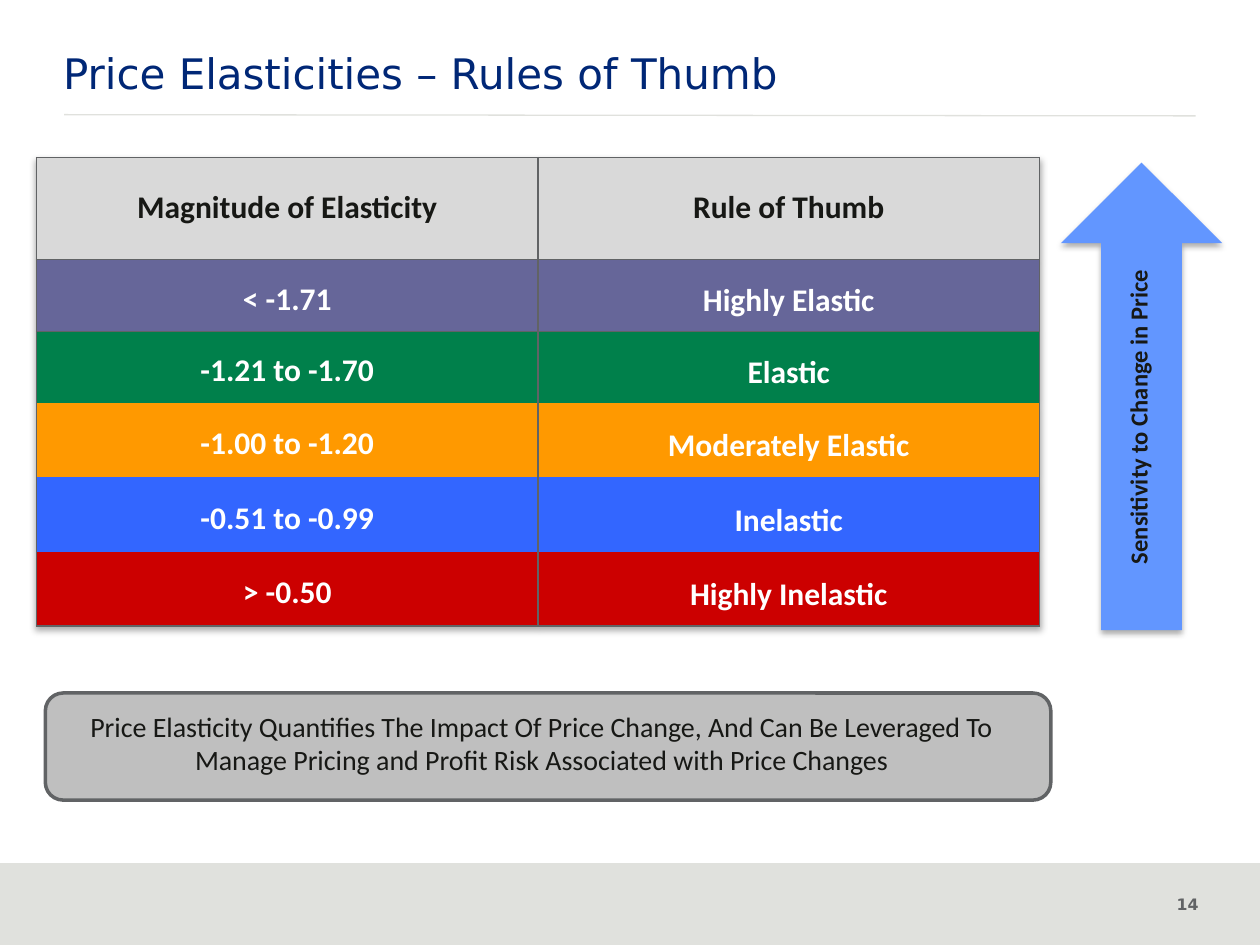
"""Build the price elasticity rules of thumb slide."""
from lxml.etree import SubElement
from pptx import Presentation
from pptx.dml.color import RGBColor
from pptx.enum.shapes import MSO_CONNECTOR, MSO_SHAPE
from pptx.enum.text import MSO_ANCHOR, PP_ALIGN
from pptx.oxml import parse_xml
from pptx.oxml.ns import nsdecls, qn
from pptx.util import Inches, Pt

COLORS = {
    "band": "E0E1DD", "gray": "616365", "navy": "002776", "ink": "171815",
    "white": "FFFFFF", "header": "D9D9D9", "purple": "666699", "green": "00804B",
    "orange": "FF9900", "blue": "3366FF", "red": "CC0000", "arrow": "6296FF",
    "callout": "BFBFBF",
}

RULES = [
    ("Magnitude of Elasticity", "Rule of Thumb", "header", 0.81),
    ("< -1.71", "Highly Elastic", "purple", 0.57),
    ("-1.21 to -1.70", "Elastic", "green", 0.57),
    ("-1.00 to -1.20", "Moderately Elastic", "orange", 0.59),
    ("-0.51 to -0.99", "Inelastic", "blue", 0.59),
    ("> -0.50", "Highly Inelastic", "red", 0.59),
]
RULED_BELOW = {"header", "purple", "red"}
BODY_SPACING = (1.2, 1.3)
TABLE_BOX = (0.29, 1.25, 7.96, 3.71)

SHAPES = [
    (MSO_SHAPE.RECTANGLE, (0, 6.85, 10, 0.65), "band", None, False),
    (MSO_SHAPE.UP_ARROW, (8.42, 1.29, 1.28, 3.71), "arrow", None, True),
    (MSO_SHAPE.ROUNDED_RECTANGLE, (0.36, 5.5, 7.98, 0.85), "callout", "gray", False),
]

TEXTS = [
    ("Price Elasticities – Rules of Thumb", (0.5, 0.38, 8.99, 0.69), 0, 0, PP_ALIGN.LEFT,
     {"size": Pt(24), "name": "DejaVu Sans", "bold": False}, "navy"),
    ("14", (8.99, 7.05, 0.62, 0.4), 0.1, 0, PP_ALIGN.RIGHT,
     {"size": Pt(9), "name": "DejaVu Sans", "bold": True}, "gray"),
    ("Sensitivity to Change in Price", (7.26, 3.14, 3.55, 0.34), 0.1, 270, PP_ALIGN.CENTER,
     {"size": Pt(14), "name": "Calibri", "bold": True}, "ink"),
    ("Price Elasticity Quantifies The Impact Of Price Change, And Can Be Leveraged To "
     "Manage Pricing and Profit Risk Associated with Price Changes",
     (0.52, 5.58, 7.56, 0.64), 0.1, 0, PP_ALIGN.CENTER,
     {"size": Pt(16), "name": "Calibri", "bold": False}, "ink"),
]
CELL_FONT = {"size": Pt(18), "name": "Calibri", "bold": True}


def rgb(name):
    return RGBColor.from_string(COLORS[name])


def inches(lengths):
    return [Inches(length) for length in lengths]


def write(paragraph, text, align, font, color):
    paragraph.alignment = align
    span = paragraph.add_run()
    span.text = text
    for attribute, value in font.items():
        setattr(span.font, attribute, value)
    span.font.color.rgb = rgb(color)


def add_shadow(effects):
    effects.append(parse_xml(
        f'<a:outerShdw {nsdecls("a")} blurRad="{Pt(3.5)}" dist="{Pt(2.2)}" dir="5400000" '
        'rotWithShape="0"><a:srgbClr val="000000"><a:alpha val="32000"/></a:srgbClr>'
        '</a:outerShdw>'))


def add_shape(page, kind, place, fill, line, shadowed):
    shape = page.shapes.add_shape(kind, *inches(place))
    shape.shadow.inherit = False
    shape.fill.solid()
    shape.fill.fore_color.rgb = rgb(fill)
    if line:
        shape.line.color.rgb = rgb(line)
        shape.line.width = Pt(2)
    else:
        shape.line.fill.background()
    if shadowed:
        add_shadow(shape._element.spPr.find(qn("a:effectLst")))


def add_text(page, text, place, inset, rotation, align, font, color):
    box = page.shapes.add_textbox(*inches(place))
    box.rotation = rotation
    frame = box.text_frame
    frame.word_wrap = True
    margins = {"margin_left": inset, "margin_right": inset,
               "margin_top": inset / 2, "margin_bottom": inset / 2}
    for attribute, value in margins.items():
        setattr(frame, attribute, Inches(value))
    write(frame.paragraphs[0], text, align, font, color)


def add_rule(page):
    rule = page.shapes.add_connector(MSO_CONNECTOR.STRAIGHT, *inches((0.51, 0.91, 9.49, 0.92)))
    rule.line.color.rgb = rgb("band")
    rule.line.width = Pt(0.75)
    SubElement(rule._element.spPr, qn("a:effectLst"))


def set_borders(cell, ruled):
    properties = cell._tc.get_or_add_tcPr()
    for position, (side, shown) in enumerate(ruled.items()):
        paint = (f'<a:solidFill><a:srgbClr val="{COLORS["gray"]}"/></a:solidFill>'
                 if shown else "<a:noFill/>")
        properties.insert(position, parse_xml(
            f'<a:{side} {nsdecls("a")} w="{Pt(1)}">{paint}</a:{side}>'))


def add_table(page):
    table = page.shapes.add_table(len(RULES), 2, *inches(TABLE_BOX)).table
    effects = parse_xml(f'<a:effectLst {nsdecls("a")}/>')
    add_shadow(effects)
    table._tbl.tblPr.insert(0, effects)
    for column in table.columns:
        column.width = Inches(TABLE_BOX[2] / 2)
    ruled_above = True
    for row, (magnitude, rule, fill, height) in enumerate(RULES):
        table.rows[row].height = Inches(height)
        ruled_below = fill in RULED_BELOW
        for column, text in enumerate((magnitude, rule)):
            cell = table.cell(row, column)
            cell.vertical_anchor = MSO_ANCHOR.MIDDLE
            cell.fill.solid()
            cell.fill.fore_color.rgb = rgb(fill)
            set_borders(cell, {"lnL": True, "lnR": True, "lnT": ruled_above, "lnB": ruled_below})
            paragraph = cell.text_frame.paragraphs[0]
            write(paragraph, text, PP_ALIGN.CENTER, CELL_FONT, "white" if row else "ink")
            paragraph.line_spacing = BODY_SPACING[column] if row else 0.9
            if row:
                before = SubElement(paragraph._p.get_or_add_pPr(), qn("a:spcBef"))
                SubElement(before, qn("a:spcPct")).set("val", "75000")
        ruled_above = ruled_below


def main():
    deck = Presentation()
    deck.slide_width, deck.slide_height = inches((10, 7.5))
    page = deck.slides.add_slide(deck.slide_layouts[6])
    add_rule(page)
    add_table(page)
    for shape in SHAPES:
        add_shape(page, *shape)
    for text in TEXTS:
        add_text(page, *text)
    deck.save("out.pptx")


if __name__ == "__main__":
    main()
